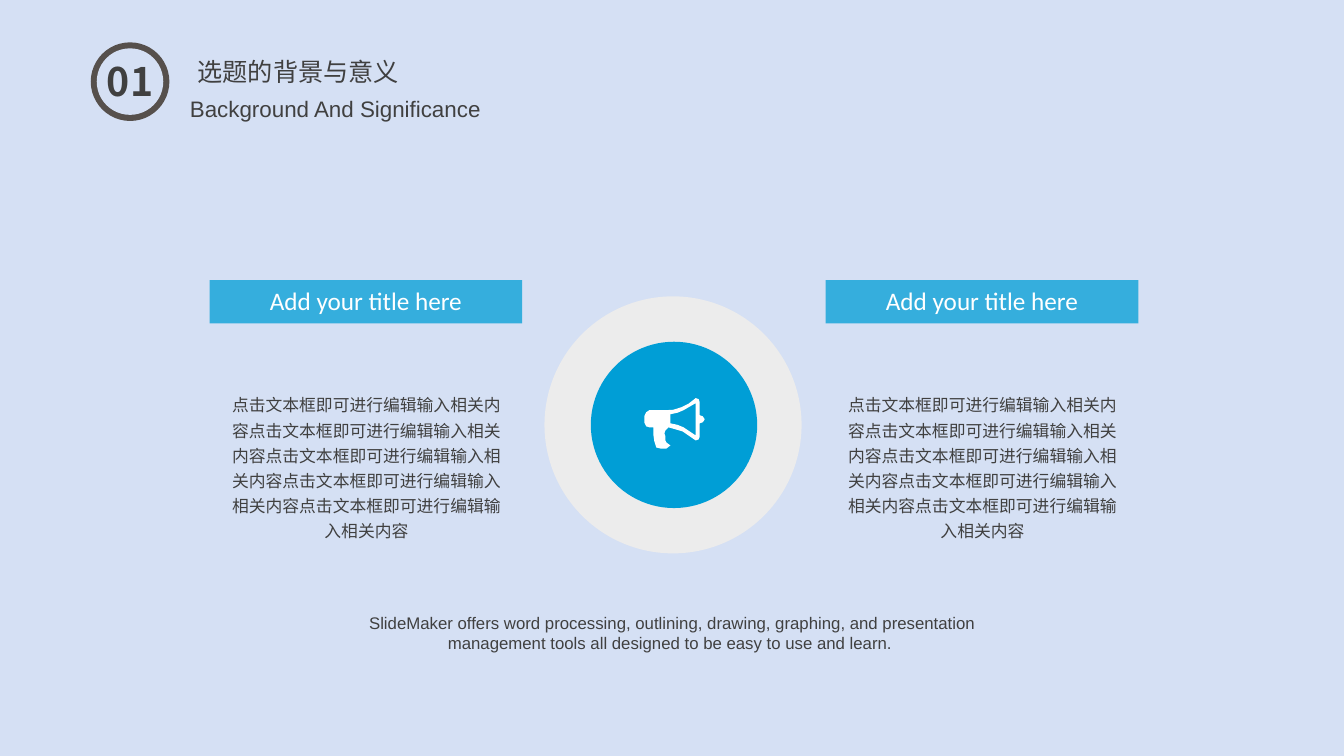
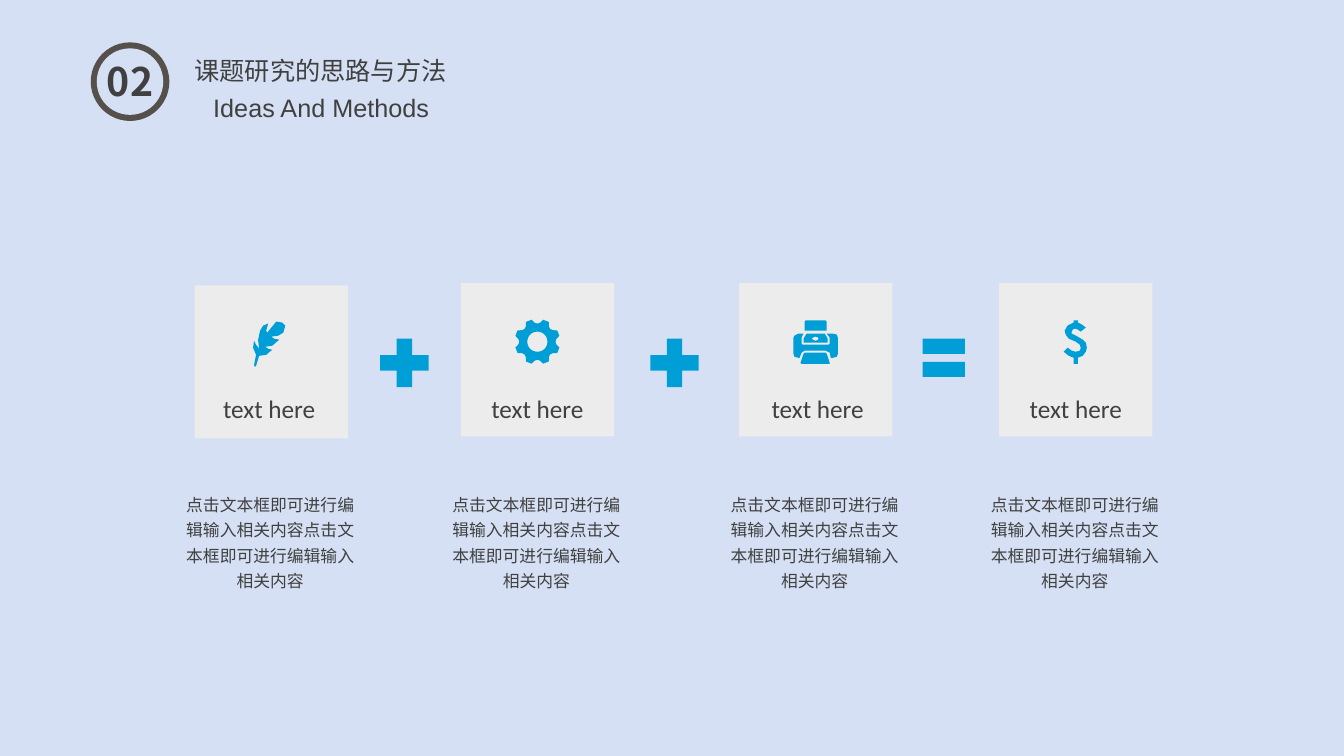
from math import cos, radians, sin

from lxml import etree
from pptx import Presentation
from pptx import util as u
from pptx.dml.color import RGBColor
from pptx.enum import shapes, text
from pptx.oxml import ns

INK = {"back": "D5E0F4", "ring": "56504C", "text": "404040",
       "blue": "009ED6", "pale": "ECECEC", "white": "FFFFFF"}
HAN, SANS, LABEL = "Noto Sans CJK SC", "Arial", "Calibri"
KIND, ALIGN = shapes.MSO_SHAPE, text.PP_ALIGN
PHRASE = "点击文本框即可进行编辑输入相关内容"


def polar(size, turn, mid=22):
    return mid + size * cos(radians(turn)), mid + size * sin(radians(turn))


def box(left, top, wide, high):
    return [(left, top), (left + wide, top),
            (left + wide, top + high), (left, top + high)]


HORN = [
    [(51, 37), (39, 29), (33, 26.5), (26, 25), (26, 16), (33, 14.5),
     (39, 12), (51, 5)],
    [(58, 18), (55, 17), (55, 4), (54, 1), (51, 0), (44, 5.5), (37, 9),
     (29, 11.5), (21, 12), (5, 12), (2, 14), (0, 18), (0, 24), (2, 28),
     (5, 29), (9, 29), (9, 36), (10, 43), (12, 49), (16, 50), (22, 50),
     (26, 47), (22, 44), (21, 42), (21, 38), (20, 35), (21, 32), (24, 29),
     (38, 33), (51, 42), (54, 41), (55, 38), (55, 25), (58, 24), (60, 21)],
]
QUILL = [
    [(3, 44), (6, 34), (13, 33), (19, 28), (15, 27), (12, 25), (19, 24),
     (26, 18), (21, 17), (18, 15), (25, 14), (30, 11), (32, 4), (29, 1),
     (23, 0), (19, 5), (14, 11), (13, 9), (15, 2), (10, 4), (7, 9),
     (5, 18), (6, 27), (3, 23), (1, 19), (0, 26), (3, 33), (1, 43),
     (2, 45)],
]
GEAR = [
    [polar(10, turn) for turn in range(0, 360, 10)],
    [polar(size, 45 * tooth + turn) for tooth in range(8)
     for turn, size in ((0, 18), (8, 19), (15, 22.6), (30, 22.6), (37, 19))],
]
PRINT = [
    [(12, 0), (32, 0), (33, 1), (33, 10), (11, 10), (11, 1)],
    [(11, 32), (32, 32), (33, 33), (36, 42), (36, 43), (8, 43), (7, 42),
     (10, 33)],
    [(10, 18), (13, 13), (31, 13), (34, 18), (34, 22), (10, 22)],
    [(18, 18), (20, 16.5), (22, 16), (24, 16.5), (25, 18), (24, 19.5),
     (22, 20), (20, 19.5)],
    [(39, 13), (33, 13), (36, 17), (36, 23), (35, 24), (9, 24), (8, 23),
     (8, 17), (10, 13), (5, 13), (1, 15), (0, 17), (0, 33), (1, 36),
     (5, 37), (6, 37), (8, 32), (11, 30), (32, 30), (36, 32), (37, 37),
     (39, 37), (43, 36), (44, 33), (44, 17), (43, 14)],
]
COIN = [
    [(22, 7), (17, 11), (14, 9), (11, 8), (9, 9), (8, 11), (8, 13),
     (12, 15), (19, 19), (22, 22), (23, 27), (22, 31), (19, 35), (14, 37),
     (14, 43), (10, 43), (10, 37), (5, 35), (0, 31), (4, 27), (8, 30),
     (12, 31), (16, 30), (17, 27), (16, 24), (12, 21), (5, 18), (2, 14),
     (1, 10), (4, 5), (10, 2), (10, 0), (14, 0), (14, 2), (18, 4)],
]
EQUAL = [box(0, 0, 42, 15), box(0, 23, 42, 15)]


class Deck:
    """Holds the shared style and the slide being filled."""

    def __init__(self):
        self.show = Presentation()
        self.show.slide_width = u.Inches(13.33)
        self.show.slide_height = u.Inches(7.5)
        self.slide = None

    def page(self, number, title, sub):
        self.slide = self.show.slides.add_slide(self.show.slide_layouts[6])
        fill = self.slide.background.fill
        fill.solid()
        fill.fore_color.rgb = RGBColor.from_string(INK["back"])
        self.shape(KIND.OVAL, (0.9, 0.42, 0.78, 0.78), "ring")
        self.shape(KIND.OVAL, (0.96, 0.48, 0.66, 0.66), "back")
        self.words((0.93, 0.52, 0.72, 0.57), number, 28, bold=True)
        left, top, wide = title[1]
        self.words((left, top, wide, 0.71), title[0], 18, space=2,
                   align=ALIGN.LEFT, wrap=False)
        left, top, size = sub[1]
        self.words((left, top, 5.49, 0.4), sub[0], size, SANS)

    def paint(self, item, ink, alpha=None):
        item.shadow.inherit = False
        item.fill.solid()
        item.fill.fore_color.rgb = RGBColor.from_string(INK[ink])
        item.line.fill.background()
        if alpha:
            tint = item.element.spPr.find(".//" + ns.qn("a:srgbClr"))
            etree.SubElement(tint, ns.qn("a:alpha"), val=str(alpha * 1000))
        return item

    def shape(self, kind, area, ink, alpha=None):
        item = self.slide.shapes.add_shape(kind, *map(u.Inches, area))
        return self.paint(item, ink, alpha)

    def glyph(self, left, top, loops, ink="blue"):
        loops = [[(round(x * 10), round(y * 10)) for x, y in loop]
                 for loop in loops]
        pen = self.slide.shapes.build_freeform(
            *loops[0][0], scale=u.Inches(1) / 1000)
        for step, loop in enumerate(loops):
            if step:
                pen.move_to(*loop[0])
            pen.add_line_segments(loop[1:], close=True)
        low = [min(spot[axis] for loop in loops for spot in loop) / 1000
               for axis in (0, 1)]
        item = self.paint(pen.convert_to_shape(), ink)
        item.left, item.top = u.Inches(left + low[0]), u.Inches(top + low[1])

    def letter(self, frame, line, size, font, ink, align, space, bold):
        frame.vertical_anchor = text.MSO_ANCHOR.TOP
        para = frame.paragraphs[0]
        para.alignment = align
        if space:
            para.line_spacing = space
        run = para.add_run()
        run.text = line
        run.font.size = u.Pt(size)
        run.font.name = font
        run.font.bold = bold
        run.font.color.rgb = RGBColor.from_string(INK[ink])
        mark = run._r.get_or_add_rPr()
        etree.SubElement(mark, ns.qn("a:ea"), typeface=font)

    def words(self, area, line, size, font=HAN, align=ALIGN.CENTER,
              space=None, bold=False, wrap=True, inset=True):
        item = self.slide.shapes.add_textbox(*map(u.Inches, area))
        frame = item.text_frame
        frame.word_wrap = wrap
        if not inset:
            frame.margin_left = frame.margin_right = 0
            frame.margin_top = frame.margin_bottom = 0
        self.letter(frame, line, size, font, "text", align, space, bold)

    def banner(self, left, line):
        item = self.shape(KIND.RECTANGLE, (left, 2.78, 3.1, 0.43), "blue", 75)
        self.letter(item.text_frame, line, 18, LABEL, "white",
                    ALIGN.CENTER, None, False)

    def plus(self, left):
        item = self.shape(KIND.CROSS, (left, 3.36, 0.48, 0.48), "blue")
        item.adjustments[0] = 0.34

    def tile(self, left, top, icon, spot, label):
        self.shape(KIND.RECTANGLE, (left, top, 1.52, 1.52), "pale")
        self.glyph(*spot, icon)
        self.words((label, 3.85, 1.32, 0.4), "text here", 18, LABEL)
        self.words((left - 0.21, 4.81, 1.92, 1.11), PHRASE * 2, 12,
                   space=1.25)


deck = Deck()

deck.page("01", ("选题的背景与意义", (1.86, 0.21, 2.22)),
          ("Background And Significance", (0.58, 0.89, 16)))
deck.shape(KIND.OVAL, (5.4, 2.94, 2.55, 2.55), "pale")
deck.shape(KIND.OVAL, (5.86, 3.39, 1.65, 1.65), "blue")
deck.glyph(6.39, 3.95, HORN, "white")
for left in (2.08, 8.19):
    deck.banner(left, "Add your title here")
    deck.words((left + 0.09, 3.82, 2.93, 1.62), PHRASE * 5, 12, space=1.25)
deck.words((3.16, 6.08, 7.02, 0.4),
           "SlideMaker offers word processing, outlining, drawing, graphing, "
           "and presentation management tools all designed to be easy to use "
           "and learn. ", 12, SANS, inset=False)

deck.page("02", ("课题研究的思路与方法", (1.83, 0.2, 2.73)),
          ("Ideas And Methods", (0.44, 0.87, 18)))
for left in (3.77, 6.45):
    deck.plus(left)
deck.glyph(9.15, 3.36, EQUAL)
for tile in ((1.93, 2.83, QUILL, (2.51, 3.19), 2.01),
             (4.57, 2.81, GEAR, (5.11, 3.17), 4.67),
             (7.33, 2.81, PRINT, (7.87, 3.18), 7.45),
             (9.91, 2.81, COIN, (10.55, 3.18), 10.01)):
    deck.tile(*tile)

deck.show.save("out.pptx")
